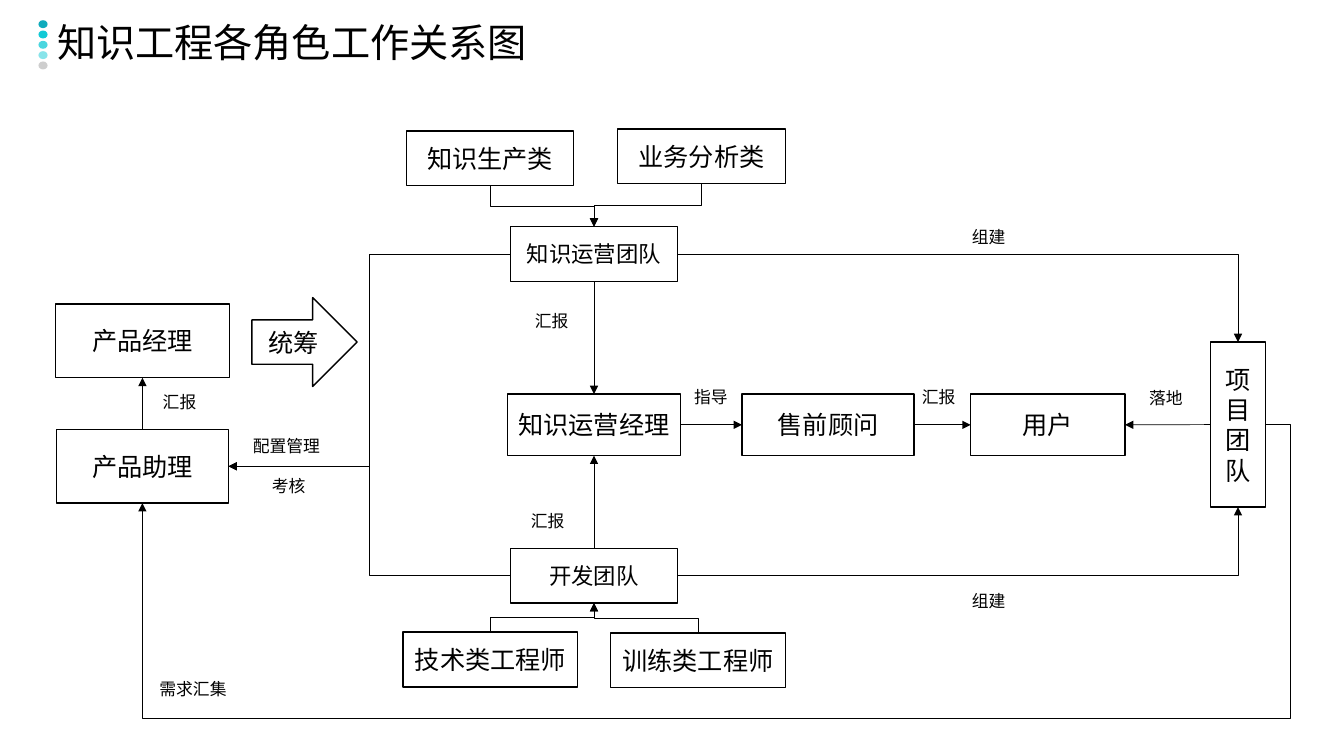
from dataclasses import dataclass

import pptx
import pptx.dml.color
import pptx.enum.shapes
import pptx.enum.text
import pptx.oxml
import pptx.oxml.ns
import pptx.util
from pptx.util import Cm

SHAPE = pptx.enum.shapes.MSO_SHAPE
CONNECTOR = pptx.enum.shapes.MSO_CONNECTOR
ALIGN = pptx.enum.text.PP_ALIGN
TOP, LEFT, BOTTOM, RIGHT = range(4)


@dataclass(frozen=True)
class Theme:
    font: str = "Noto Sans CJK SC"
    ink: str = "000000"
    paper: str = "FFFFFF"
    title: int = 28
    role: int = 18
    team: int = 16
    label: int = 12
    outline: float = 1
    flow: float = 0.5
    dots: tuple = (("0FABBC", 100), ("12CAD6", 100), ("12CAD6", 76),
                   ("12CAD6", 50), ("BFBFBF", 76))


THEME = Theme()

# text, (left, top, width, height) in cm, type size
ROLES = [
    ("用户", (24.46, 9.93, 3.89, 1.55), THEME.role),
    ("知识运营经理", (12.79, 9.93, 4.36, 1.55), THEME.role),
    ("售前顾问", (18.7, 9.93, 4.34, 1.55), THEME.role),
    ("开发团队", (12.86, 13.82, 4.22, 1.38), THEME.team),
    ("知识运营团队", (12.86, 5.71, 4.22, 1.38), THEME.team),
    ("知识生产类", (10.24, 3.3, 4.22, 1.38), THEME.role),
    ("业务分析类", (15.57, 3.25, 4.22, 1.38), THEME.role),
    ("产品经理", (1.4, 7.66, 4.38, 1.86), THEME.role),
    ("产品助理", (1.42, 10.82, 4.34, 1.86), THEME.role),
    ("项目团队", (30.51, 8.62, 1.38, 4.16), THEME.role),
    ("技术类工程师", (10.16, 15.93, 4.4, 1.38), THEME.role),
    ("训练类工程师", (15.38, 15.95, 4.42, 1.38), THEME.role),
]

LABELS = [
    ("汇报", (12.98, 12.85, 1.65, 0.56)),
    ("汇报", (13.08, 7.8, 1.65, 0.56)),
    ("考核", (6.45, 11.96, 1.65, 0.56)),
    ("配置管理", (5.99, 10.95, 2.46, 0.56)),
    ("需求汇集", (3.58, 17.22, 2.57, 0.3)),
    ("落地", (28.7, 9.65, 1.37, 0.74)),
    ("组建", (24.23, 14.76, 1.37, 0.74)),
    ("组建", (24.23, 5.59, 1.37, 0.74)),
    ("汇报", (3.84, 9.8, 1.37, 0.64)),
    ("汇报", (22.83, 9.73, 1.65, 0.56)),
    ("指导", (17.09, 9.73, 1.65, 0.56)),
]

STRAIGHT_FLOWS = [
    ("开发团队", TOP, "知识运营经理", BOTTOM),
    ("知识运营团队", BOTTOM, "知识运营经理", TOP),
    ("产品助理", TOP, "产品经理", BOTTOM),
    ("项目团队", LEFT, "用户", RIGHT),
    ("知识运营经理", RIGHT, "售前顾问", LEFT),
    ("售前顾问", RIGHT, "用户", LEFT),
]

# source, side, target, side, preset, adjustments
ELBOW_FLOWS = [
    ("业务分析类", BOTTOM, "知识运营团队", TOP, "bentConnector3", (50000,)),
    ("知识生产类", BOTTOM, "知识运营团队", TOP, "bentConnector3", (50000,)),
    ("知识运营团队", LEFT, "产品助理", RIGHT, "bentConnector3", (50000,)),
    ("开发团队", LEFT, "产品助理", RIGHT, "bentConnector3", (50000,)),
    ("技术类工程师", TOP, "开发团队", BOTTOM, "bentConnector3", (50000,)),
    ("训练类工程师", TOP, "开发团队", BOTTOM, "bentConnector3", (50000,)),
    ("知识运营团队", RIGHT, "项目团队", TOP, "bentConnector2", ()),
    ("开发团队", RIGHT, "项目团队", BOTTOM, "bentConnector2", ()),
    ("项目团队", RIGHT, "产品助理", BOTTOM, "bentConnector4", (-2200, 374100)),
]


def rgb(value):
    return pptx.dml.color.RGBColor.from_string(value)


def add_child(parent, tag, **attributes):
    child = pptx.oxml.xmlchemy.OxmlElement(tag)
    for name, value in attributes.items():
        child.set(name, str(value))
    parent.append(child)
    return child


def write(shape, text, size, align=ALIGN.CENTER, inset=0.2):
    frame = shape.text_frame
    frame_format = {
        "word_wrap": True,
        "vertical_anchor": pptx.enum.text.MSO_ANCHOR.MIDDLE,
        "margin_left": Cm(inset), "margin_right": Cm(inset),
        "margin_top": 0, "margin_bottom": 0,
    }
    for name, value in frame_format.items():
        setattr(frame, name, value)
    paragraph = frame.paragraphs[0]
    paragraph.alignment = align
    run = paragraph.add_run()
    run.text = text
    for name, value in {"size": pptx.util.Pt(size), "name": THEME.font}.items():
        setattr(run.font, name, value)
    run.font.color.rgb = rgb(THEME.ink)
    add_child(run.font._element, "a:ea", typeface=THEME.font)


def add_block(slide, bounds, preset=SHAPE.RECTANGLE, fill=THEME.paper, outlined=False):
    block = slide.shapes.add_shape(preset, *map(Cm, bounds))
    block.shadow.inherit = False
    block.fill.solid()
    block.fill.fore_color.rgb = rgb(fill)
    if outlined:
        block.line.color.rgb = rgb(THEME.ink)
        block.line.width = pptx.util.Pt(THEME.outline)
    else:
        block.line.fill.background()
    return block


def add_role(slide, text, bounds, size, preset=SHAPE.RECTANGLE):
    role = add_block(slide, bounds, preset, outlined=True)
    write(role, text, size)
    return role


def add_label(slide, text, bounds):
    write(add_block(slide, bounds), text, THEME.label, inset=0)


def add_title(slide, text):
    for row, (color, opacity) in enumerate(THEME.dots):
        dot = add_block(slide, (0.97, 0.51 + 0.26 * row, 0.23, 0.2), SHAPE.OVAL, color)
        if opacity < 100:
            add_child(dot.fill._xPr.solidFill[0], "a:alpha", val=opacity * 1000)
    title = slide.shapes.add_textbox(*map(Cm, (1.19, 0.46, 17.5, 1.35)))
    write(title, text, THEME.title, ALIGN.LEFT, inset=0.25)
    title.text_frame.paragraphs[0].line_spacing = 0.9


def add_flow(slide, source, source_side, target, target_side, kind=CONNECTOR.STRAIGHT):
    flow = slide.shapes.add_connector(kind, 0, 0, 0, 0)
    flow.begin_connect(source, source_side)
    flow.end_connect(target, target_side)
    flow.line.color.rgb = rgb(THEME.ink)
    flow.line.width = pptx.util.Pt(THEME.flow)
    add_child(flow.line._get_or_add_ln(), "a:tailEnd", type="triangle")
    add_child(flow._element.spPr, "a:effectLst")
    return flow


def add_elbow(slide, source, source_side, target, target_side, preset, adjustments):
    """Join two roles with a bent arrow that leaves in the direction of source_side."""
    flow = add_flow(slide, source, source_side, target, target_side, CONNECTOR.ELBOW)
    leftward = flow.end_x < flow.begin_x
    downward = flow.end_y > flow.begin_y
    frame = flow._element.spPr.get_or_add_xfrm()
    if source_side in (TOP, BOTTOM):
        left, top, width, height = flow.left, flow.top, flow.width, flow.height
        flow.left, flow.top = left + (width - height) // 2, top + (height - width) // 2
        flow.width, flow.height = height, width
        frame.rot = 90 if downward == leftward else 270
        frame.flipH, frame.flipV = not leftward, not downward
    elif source_side == LEFT:
        frame.rot = 180
        frame.flipH, frame.flipV = not leftward, downward
    geometry = flow._element.spPr.find(pptx.oxml.ns.qn("a:prstGeom"))
    geometry.set("prst", preset)
    guides = geometry.find(pptx.oxml.ns.qn("a:avLst"))
    for number, value in enumerate(adjustments, 1):
        add_child(guides, "a:gd", name=f"adj{number}", fmla=f"val {value}")


def main():
    deck = pptx.Presentation()
    deck.slide_width, deck.slide_height = Cm(33.87), Cm(19.05)
    slide = deck.slides.add_slide(deck.slide_layouts[6])
    add_title(slide, "知识工程各角色工作关系图")
    for text, bounds in LABELS:
        add_label(slide, text, bounds)
    roles = {text: add_role(slide, text, bounds, size) for text, bounds, size in ROLES}
    add_role(slide, "统筹", (6.35, 7.5, 2.65, 2.24), THEME.role, SHAPE.RIGHT_ARROW)
    for source, source_side, target, target_side in STRAIGHT_FLOWS:
        add_flow(slide, roles[source], source_side, roles[target], target_side)
    for source, source_side, target, target_side, preset, adjustments in ELBOW_FLOWS:
        add_elbow(slide, roles[source], source_side, roles[target], target_side,
                  preset, adjustments)
    deck.save("out.pptx")


if __name__ == "__main__":
    main()
